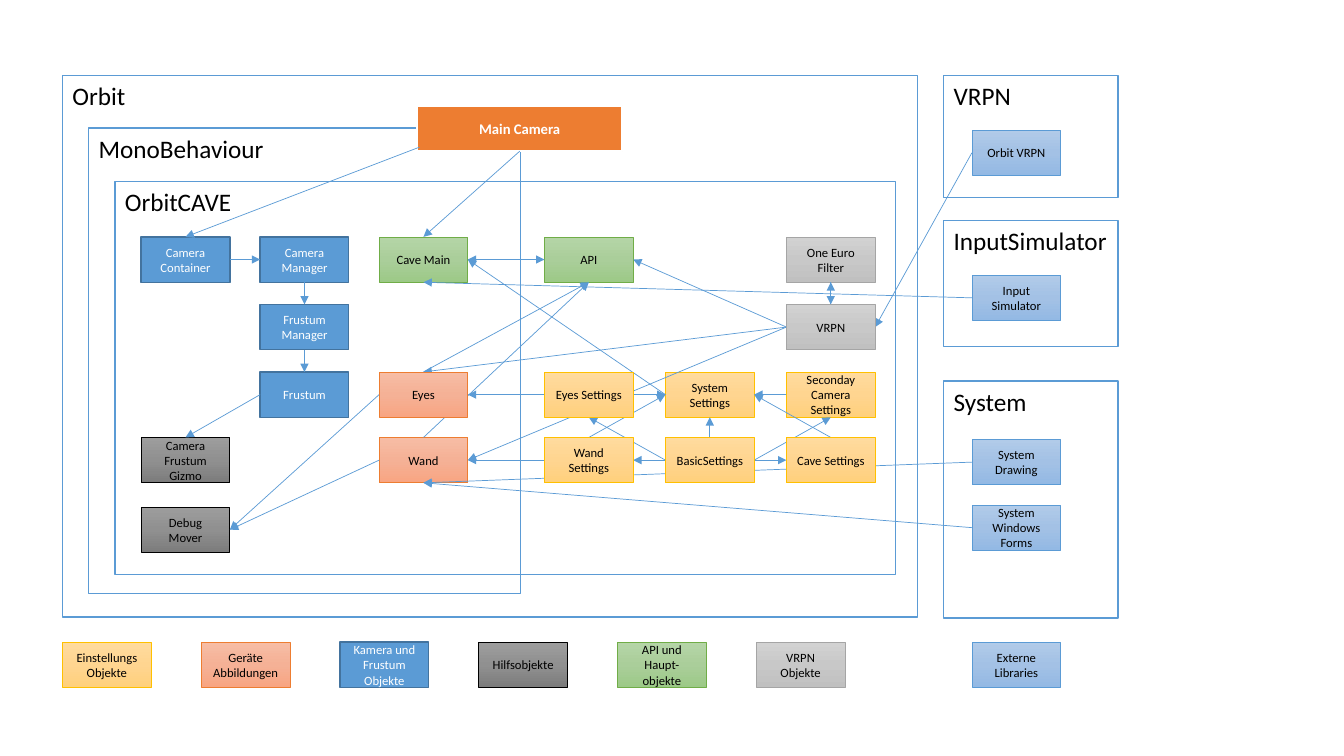
from collections import namedtuple
from copy import deepcopy

from pptx import Presentation
from pptx.dml.color import RGBColor
from pptx.enum.shapes import MSO_CONNECTOR, MSO_SHAPE
from pptx.enum.text import MSO_ANCHOR, PP_ALIGN
from pptx.oxml.ns import qn
from pptx.util import Inches, Pt
from lxml.etree import SubElement

Box = namedtuple("Box", "left top width height")
Style = namedtuple("Style", "fills line weight ink size bold", defaults=("000000", 9, False))


class Theme:
    """Colours, type sizes and line widths of the diagram."""
    font = "Calibri"
    blue = "5B9BD5"
    arrow_weight = 0.5
    frame = Style(["FFFFFF"], blue, 1, size=18)
    clear_frame = Style([], blue, 1, size=18)
    main = Style(["ED7D31"], "FFFFFF", 1.5, "FFFFFF", 10.5, True)
    settings = Style(["FFDB9E", "FFD590", "FFD07C"], "FFC000", 0.5)
    device = Style(["F7BDA5", "F5B196", "F8A582"], "ED7D31", 0.5)
    camera = Style([blue], "43739E", 1, "FFFFFF")
    helper = Style(["9D9D9D", "909090", "7C7C7C"], "000000", 0.5)
    api = Style(["B5D5A7", "AACE9A", "9CC987"], "70AD47", 0.5)
    vrpn = Style(["D2D2D2", "C8C8C8", "C0C0C0"], "A5A5A5", 0.5)
    library = Style(["B1CBE9", "A3C1E5", "93B9E4"], blue, 0.5)


NODE_WIDTH, NODE_HEIGHT = 0.88, 0.45
TOP, LEFT, BOTTOM, RIGHT = range(4)  # connection sites of a rectangle

ENGINE = Box(0.62, 0.75, 8.48, 5.37)
BEHAVIOUR = Box(0.88, 1.27, 4.28, 4.62)
CAVE = Box(1.14, 1.8, 7.74, 3.9)
MAIN_CAMERA = Box(4.14, 1.05, 2.03, 0.45)
LEGEND = Box(0.62, 6.37, 9.9, NODE_HEIGHT)

# Columns and rows are offsets inside the CAVE frame.
COLUMNS = [0.26, 1.44, 2.62, 4.26, 5.46, 6.66]
ROWS = [0.55, 1.22, 1.89, 2.54, 3.23]
CAVE_NODES = [
    ("Camera Container", Theme.camera, 0, 0), ("Camera Manager", Theme.camera, 1, 0),
    ("Cave Main", Theme.api, 2, 0), ("API", Theme.api, 3, 0),
    ("One Euro Filter", Theme.vrpn, 5, 0), ("Frustum Manager", Theme.camera, 1, 1),
    ("VRPN", Theme.vrpn, 5, 1), ("Frustum", Theme.camera, 1, 2),
    ("Eyes", Theme.device, 2, 2), ("Eyes Settings", Theme.settings, 3, 2),
    ("System Settings", Theme.settings, 4, 2),
    ("Seconday Camera Settings", Theme.settings, 5, 2),
    ("Camera Frustum Gizmo", Theme.helper, 0, 3), ("Wand", Theme.device, 2, 3),
    ("Wand Settings", Theme.settings, 3, 3), ("BasicSettings", Theme.settings, 4, 3),
    ("Cave Settings", Theme.settings, 5, 3), ("Debug Mover", Theme.helper, 0, 4),
]
ABOVE_ARROWS = ["VRPN", "Eyes", "Eyes Settings", "Cave Settings", "BasicSettings",
                "Wand Settings"]

LIBRARIES = [
    ("VRPN", Box(9.36, 0.75, 1.73, 1.21), [("Orbit VRPN", 0.54)]),
    ("InputSimulator", Box(9.36, 2.19, 1.73, 1.25), [("Input Simulator", 0.54)]),
    ("System", Box(9.36, 3.78, 1.73, 2.35),
     [("System Drawing", 0.58), ("System Windows Forms", 1.23)]),
]
LIBRARY_INDENT = 0.28

LEGEND_ITEMS = [
    ("Einstellungs Objekte", Theme.settings), ("Geräte Abbildungen", Theme.device),
    ("Kamera und Frustum Objekte", Theme.camera), ("Hilfsobjekte", Theme.helper),
    ("API und Haupt-objekte", Theme.api), ("VRPN Objekte", Theme.vrpn),
]
LEGEND_PITCH = 6.88 / 5

ARROWS = [
    ("Camera Container", RIGHT, "Camera Manager", LEFT),
    ("Camera Manager", BOTTOM, "Frustum Manager", TOP),
    ("Frustum Manager", BOTTOM, "Frustum", TOP),
    ("Frustum", LEFT, "Camera Frustum Gizmo", TOP),
    ("Main Camera", BOTTOM, "Cave Main", TOP),
    ("Cave Main", RIGHT, "API", LEFT),
    ("API", LEFT, "Cave Main", RIGHT),
    ("VRPN", TOP, "One Euro Filter", BOTTOM),
    ("One Euro Filter", BOTTOM, "VRPN", TOP),
    ("VRPN", LEFT, "API", RIGHT),
    ("VRPN", LEFT, "Wand", RIGHT),
    ("VRPN", LEFT, "Eyes", TOP),
    ("Eyes", TOP, "API", BOTTOM),
    ("Wand", TOP, "API", BOTTOM),
    ("Eyes", LEFT, "Debug Mover", RIGHT),
    ("Wand", LEFT, "Debug Mover", RIGHT),
    ("Eyes Settings", LEFT, "Eyes", RIGHT),
    ("Wand Settings", LEFT, "Wand", RIGHT),
    ("System Settings", LEFT, "Cave Main", RIGHT),
    ("Eyes Settings", RIGHT, "System Settings", LEFT),
    ("Wand Settings", TOP, "System Settings", LEFT),
    ("Cave Settings", TOP, "System Settings", RIGHT),
    ("Seconday Camera Settings", LEFT, "System Settings", RIGHT),
    ("BasicSettings", TOP, "System Settings", BOTTOM),
    ("BasicSettings", LEFT, "Eyes Settings", BOTTOM),
    ("BasicSettings", LEFT, "Wand Settings", RIGHT),
    ("BasicSettings", RIGHT, "Cave Settings", LEFT),
    ("BasicSettings", RIGHT, "Seconday Camera Settings", BOTTOM),
    ("Orbit VRPN", LEFT, "VRPN", RIGHT),
    ("Input Simulator", LEFT, "Cave Main", BOTTOM),
    ("System Drawing", LEFT, "Wand", BOTTOM),
    ("System Windows Forms", LEFT, "Wand", BOTTOM),
]


def paint(shape, colours):
    """Fill a shape with nothing, one colour or a three-stop downward gradient."""
    fill = shape.fill
    if not colours:
        fill.background()
    elif len(colours) == 1:
        fill.solid()
        fill.fore_color.rgb = RGBColor.from_string(colours[0])
    else:
        fill.gradient()
        fill.gradient_angle = 270
        stop_list = shape._element.spPr.find(".//" + qn("a:gsLst"))
        stop_list.insert(1, deepcopy(stop_list[0]))
        for stop, colour, position in zip(fill.gradient_stops, colours, (0, 0.5, 1)):
            stop.color.rgb = RGBColor.from_string(colour)
            stop.position = position


def add_box(page, box, label, style, centred=True):
    """Add a labelled rectangle and return it."""
    shape = page.shapes.add_shape(MSO_SHAPE.RECTANGLE, *map(Inches, box))
    shape.shadow.inherit = False
    paint(shape, style.fills)
    shape.line.color.rgb = RGBColor.from_string(style.line)
    shape.line.width = Pt(style.weight)
    frame = shape.text_frame
    frame.word_wrap = True
    frame.vertical_anchor = MSO_ANCHOR.MIDDLE if centred else MSO_ANCHOR.TOP
    para = frame.paragraphs[0]
    para.alignment = PP_ALIGN.CENTER if centred else PP_ALIGN.LEFT
    span = para.add_run()
    span.text = label
    span.font.name = Theme.font
    span.font.size = Pt(style.size)
    span.font.bold = style.bold
    span.font.color.rgb = RGBColor.from_string(style.ink)
    return shape


def add_node(page, box, across, down, label, style):
    """Add a standard node at an offset inside the given box."""
    place = Box(box.left + across, box.top + down, NODE_WIDTH, NODE_HEIGHT)
    return add_box(page, place, label, style)


def add_arrow(page, start, start_site, end, end_site):
    """Glue an arrow between the connection sites of two shapes."""
    arrow = page.shapes.add_connector(MSO_CONNECTOR.STRAIGHT, 0, 0, 0, 0)
    arrow.begin_connect(start, start_site)
    arrow.end_connect(end, end_site)
    arrow.line.color.rgb = RGBColor.from_string(Theme.blue)
    arrow.line.width = Pt(Theme.arrow_weight)
    SubElement(arrow.line._get_or_add_ln(), qn("a:tailEnd"), type="triangle")
    SubElement(arrow._element.spPr, qn("a:effectLst"))
    return arrow


def add_cave(page, box):
    """Draw the grid of nodes in the CAVE frame; return them by name."""
    return {label: add_node(page, box, COLUMNS[column], ROWS[row], label, style)
            for label, style, column, row in CAVE_NODES}


def add_library(page, box, title, items):
    """Draw one frame of external libraries; return its nodes by name."""
    add_box(page, box, title, Theme.frame, centred=False)
    return {label: add_node(page, box, LIBRARY_INDENT, down, label, Theme.library)
            for label, down in items}


def add_legend(page, box):
    """Draw the evenly spaced colour key, with libraries at the right end."""
    for index, (label, style) in enumerate(LEGEND_ITEMS):
        add_node(page, box, index * LEGEND_PITCH, 0, label, style)
    add_node(page, box, box.width - NODE_WIDTH, 0, "Externe Libraries", Theme.library)


def add_arrows(page, nodes, camera_box):
    """Draw all arrows, then lift the nodes that cover them."""
    for start, start_site, end, end_site in ARROWS:
        add_arrow(page, nodes[start], start_site, nodes[end], end_site)
    corner = add_arrow(page, nodes["Main Camera"], LEFT, nodes["Camera Container"], TOP)
    start = corner._element.find(".//" + qn("a:stCxn"))
    start.getparent().remove(start)  # this arrow leaves from the lower left corner
    corner.begin_x = Inches(camera_box.left + 0.02)
    corner.begin_y = Inches(camera_box.top + 0.41)
    for name in ABOVE_ARROWS:
        page.shapes._spTree.append(nodes[name]._element)


deck = Presentation()
deck.slide_width, deck.slide_height = Inches(13.33), Inches(7.5)
page = deck.slides.add_slide(deck.slide_layouts[6])

add_box(page, ENGINE, "Orbit", Theme.frame, centred=False)
add_box(page, BEHAVIOUR, "MonoBehaviour", Theme.clear_frame, centred=False)
add_box(page, CAVE, "OrbitCAVE", Theme.clear_frame, centred=False)
nodes = add_cave(page, CAVE)
for title, box, items in LIBRARIES:
    nodes.update(add_library(page, box, title, items))
nodes["Main Camera"] = add_box(page, MAIN_CAMERA, "Main Camera", Theme.main)
add_arrows(page, nodes, MAIN_CAMERA)
add_legend(page, LEGEND)

deck.save("out.pptx")
